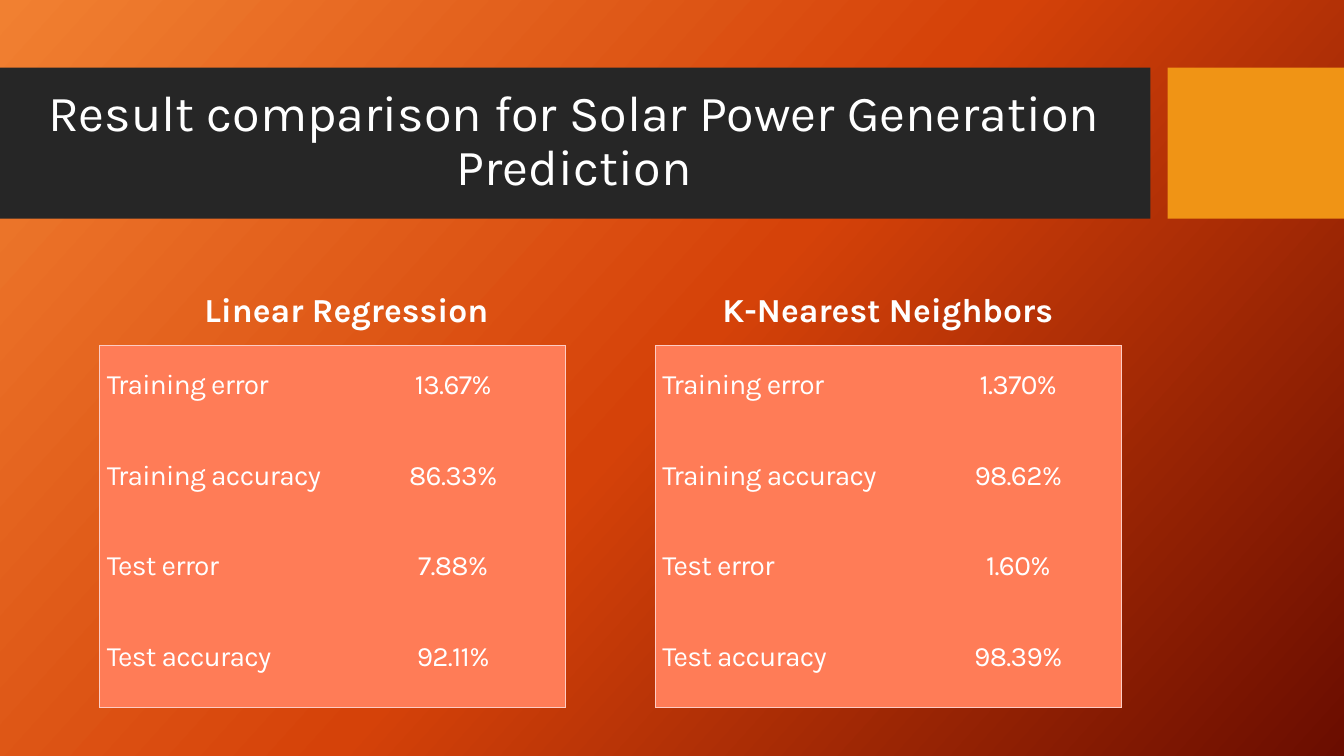
from copy import deepcopy
from dataclasses import dataclass
from lxml.etree import SubElement
from pptx import Presentation
from pptx.dml.color import RGBColor
from pptx.enum.shapes import MSO_SHAPE
from pptx.enum.text import MSO_ANCHOR, PP_ALIGN
from pptx.oxml import parse_xml
from pptx.oxml.ns import nsdecls, qn
from pptx.util import Inches, Pt


@dataclass
class Theme:
    font: str = "Karla"
    white: str = "FFFFFF"
    band: str = "262626"
    gold: str = "F09415"
    coral: str = "FF7C57"
    edge: str = "FDCCC4"
    glow: tuple = ((0, "F18031"), (0.5, "D54209"), (1, "6A0D00"))
    title: int = 36
    head: int = 24
    body: int = 20


theme = Theme()


def style(para, size, align, space, bold=False):
    para.alignment = align
    para.line_spacing = space
    for run in para.runs:
        run.font.name = theme.font
        run.font.size = Pt(size)
        run.font.bold = bold
        run.font.color.rgb = RGBColor.from_string(theme.white)


def border(cell, sides):
    props = cell.fill._xPr
    for spot, side in enumerate(sides):
        props.insert(spot, parse_xml(
            f'<a:ln{side} {nsdecls("a")} w="9525"><a:solidFill>'
            f'<a:srgbClr val="{theme.edge}"/></a:solidFill></a:ln{side}>'))


deck = Presentation()
deck.slide_width = Inches(13.33)
deck.slide_height = Inches(7.5)
slide = deck.slides.add_slide(deck.slide_layouts[5])
shapes = slide.shapes

fill = slide.background.fill
fill.gradient()
fill.gradient_angle = 318
stops = next(slide.element.iter(qn("a:gsLst")))
stops.append(deepcopy(stops[-1]))
for stop, (place, color) in zip(fill.gradient_stops, theme.glow):
    stop.position = place
    stop.color.rgb = RGBColor.from_string(color)

for left, width, color in ((0, 11.41, theme.band), (11.58, 1.75, theme.gold)):
    bar = shapes.add_shape(MSO_SHAPE.RECTANGLE, Inches(left), Inches(0.67),
                           Inches(width), Inches(1.5))
    bar.shadow.inherit = False
    bar.fill.solid()
    bar.fill.fore_color.rgb = RGBColor.from_string(color)
    bar.line.fill.background()

title = shapes.title
title.left, title.top = Inches(0), Inches(0.82)
title.width, title.height = Inches(11.39), Inches(1.18)
title.text_frame.text = "Result comparison for Solar Power Generation Prediction"
title.text_frame.vertical_anchor = MSO_ANCHOR.MIDDLE
style(title.text_frame.paragraphs[0], theme.title, PP_ALIGN.CENTER, 0.9)
title.element.getparent().append(title.element)

labels = ("Training error", "Training accuracy", "Test error", "Test accuracy")
models = (
    ("Linear Regression", 0.99, 0.99, (2.39, 2.23),
     ("13.67%", "86.33%", "7.88%", "92.11%")),
    ("K-Nearest Neighbors", 6.36, 6.5, (2.58, 2.04),
     ("1.370%", "98.62%", "1.60%", "98.39%")),
)

for name, start, left, widths, values in models:
    head = shapes.add_textbox(Inches(start), Inches(2.56), Inches(4.89), Inches(0.76))
    frame = head.text_frame
    frame.word_wrap = True
    frame.vertical_anchor = MSO_ANCHOR.BOTTOM
    frame.text = name
    frame.paragraphs[0].space_before = Pt(10)
    style(frame.paragraphs[0], theme.head, PP_ALIGN.CENTER, 0.9, True)

    table = shapes.add_table(len(labels), 2, Inches(left), Inches(3.43),
                             Inches(4.62), Inches(3.59)).table
    table.first_row = table.horz_banding = False
    grid = next(slide.element.iterchildren()).findall(".//" + qn("a:tableStyleId"))
    grid[-1].text = "{2D5ABB26-0587-4C30-8999-92F81FD0307C}"
    for column, width in zip(table.columns, widths):
        column.width = Inches(width)
    for row, texts in enumerate(zip(labels, values)):
        for col, text in enumerate(texts):
            cell = table.cell(row, col)
            cell.margin_left = cell.margin_right = Inches(0.07)
            cell.margin_top = cell.margin_bottom = Inches(0.07)
            cell.fill.solid()
            cell.fill.fore_color.rgb = RGBColor.from_string(theme.coral)
            cell.text_frame.text = text
            para = cell.text_frame.paragraphs[0]
            style(para, theme.body, (PP_ALIGN.JUSTIFY, PP_ALIGN.CENTER)[col], 1.5)
            para.runs[0].font._element.set("spc", "-50")
            sides = "LR"[col]
            if row == 0:
                sides += "T"
            if row == len(labels) - 1:
                sides += "B"
            border(cell, sides)

deck.save("out.pptx")
